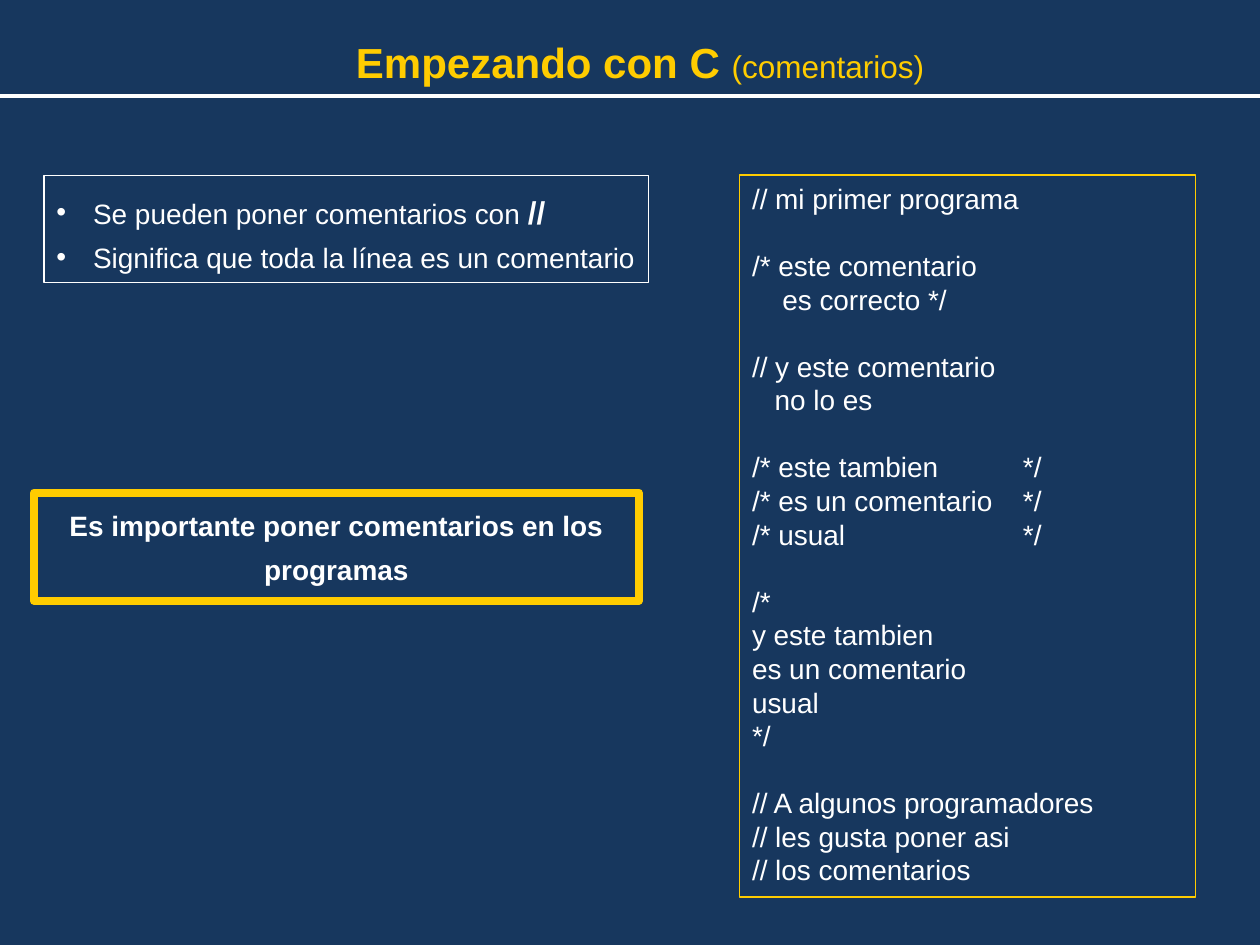
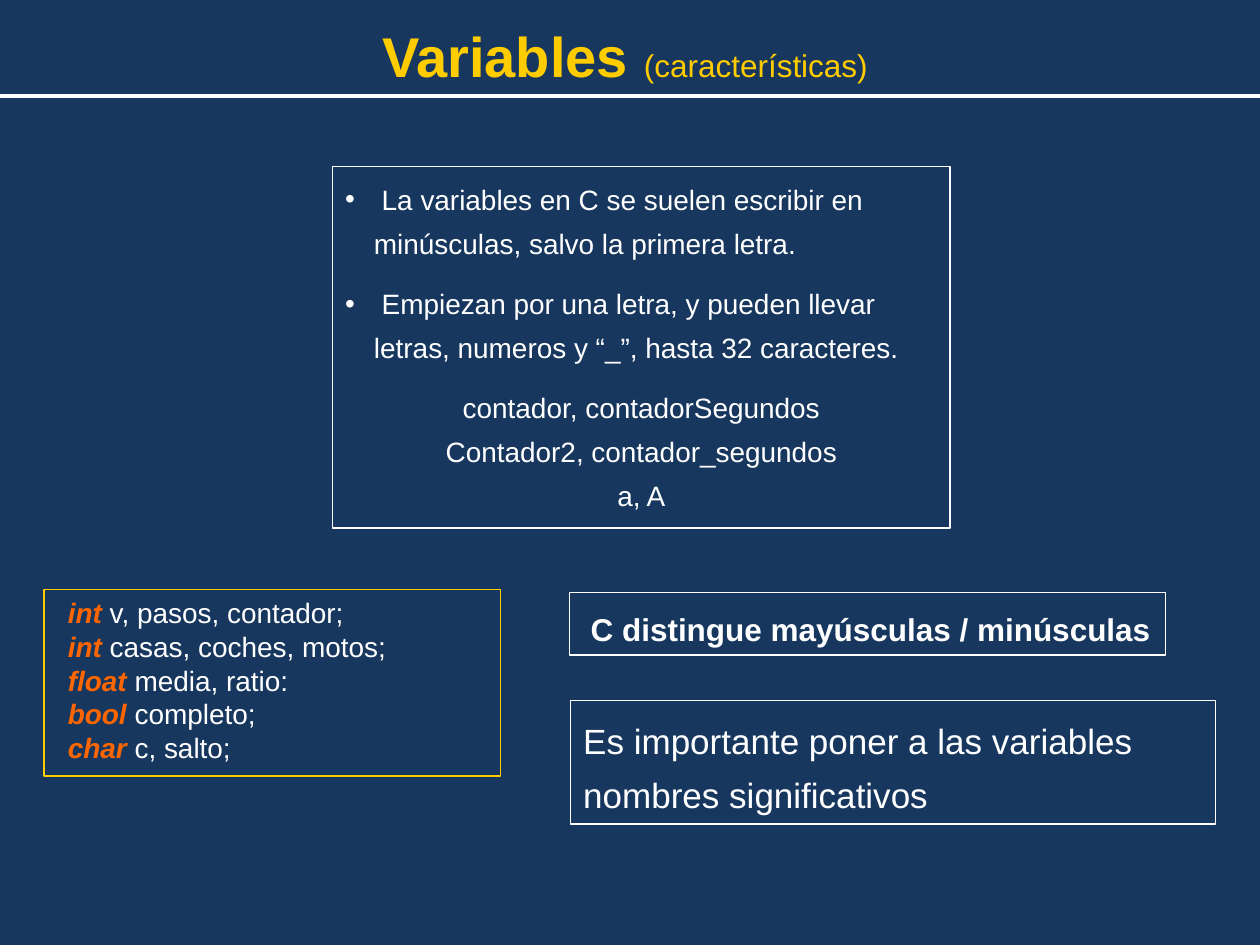
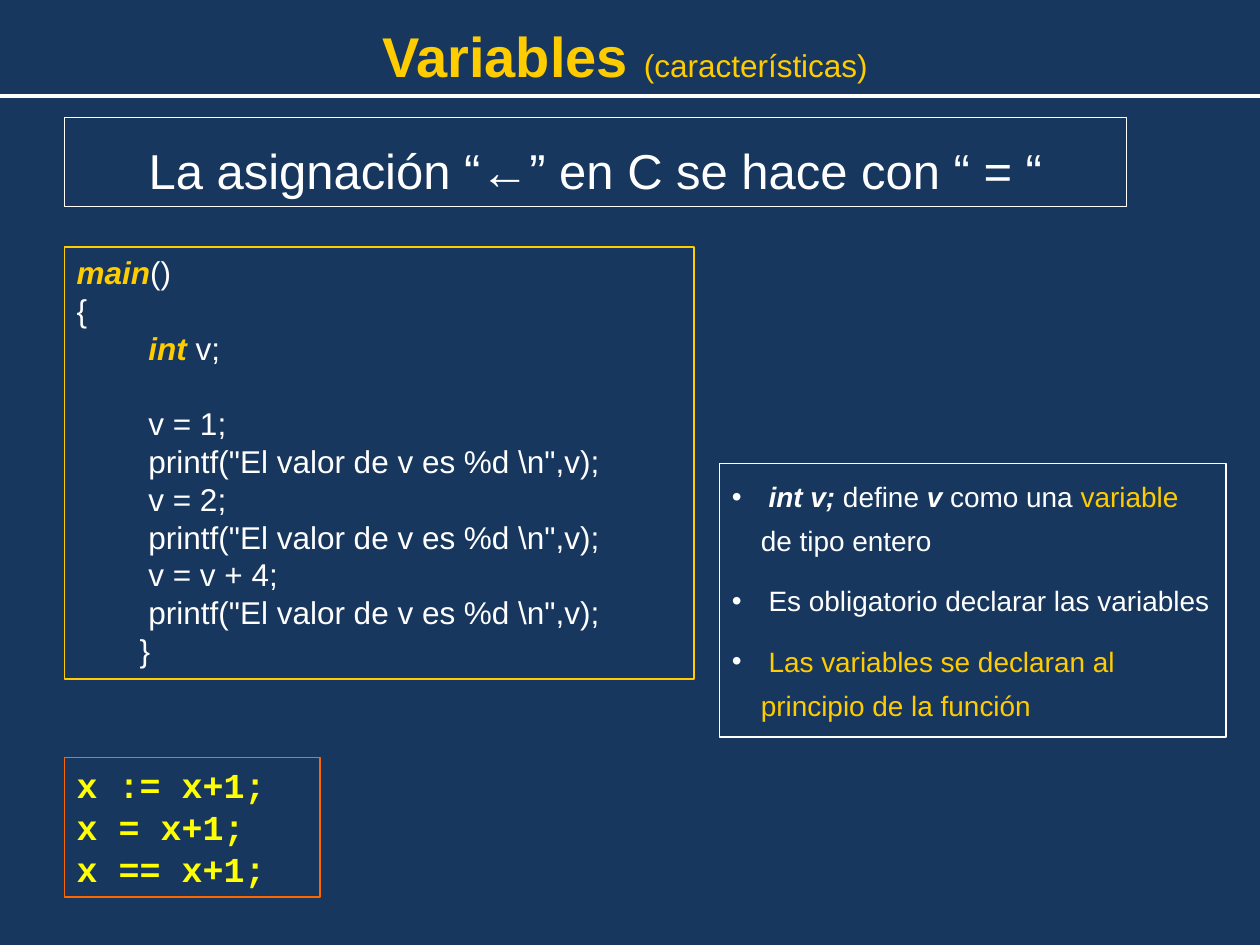
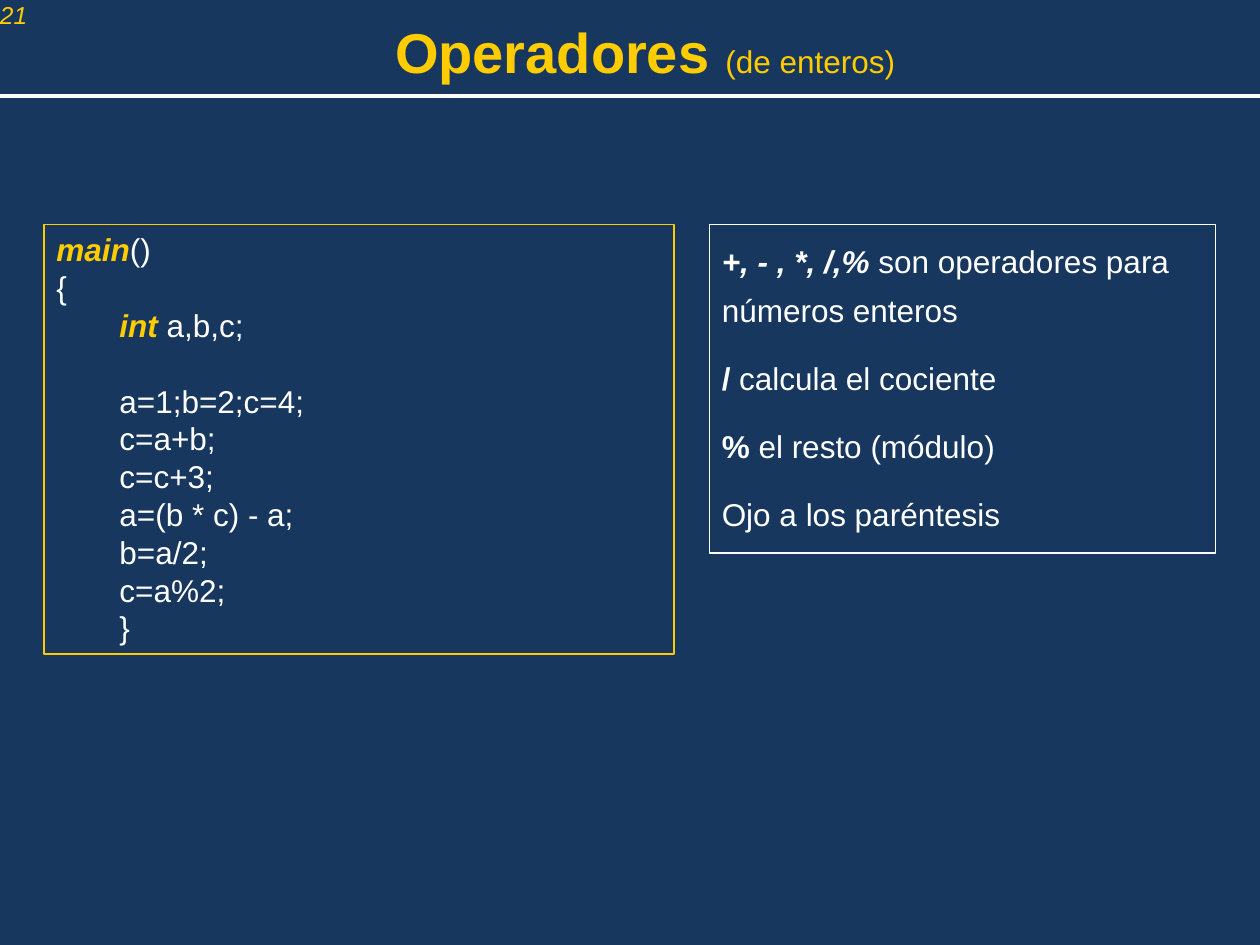
from lxml.etree import SubElement
from pptx import Presentation
from pptx.dml.color import RGBColor
from pptx.enum.shapes import MSO_CONNECTOR, MSO_SHAPE
from pptx.enum.text import MSO_ANCHOR, PP_ALIGN
from pptx.oxml.ns import qn
from pptx.util import Inches, Pt

COLORS = {
    "navy": "17375E",
    "white": "FFFFFF",
    "gold": "FFCC00",
    "orange": "FF6600",
    "yellow": "FFFF00",
}
STYLES = {
    "text": ("white", False, False, "Arial"),
    "bold": ("white", True, False, "Arial"),
    "term": ("white", True, True, "Arial"),
    "accent": ("gold", False, False, "Arial"),
    "title": ("gold", True, False, "Arial"),
    "keyword": ("gold", True, True, "Arial"),
    "type": ("orange", True, True, "Arial"),
    "number": ("gold", False, True, "Arial"),
    "mono": ("yellow", True, False, "Courier New"),
}
LINE_HEIGHT = 1.2
BULLET_INDENT = 0.23


def add_text(s, box, lines, size, style="text", line=None, width=0.75):
    at = [Inches(v) for v in box]
    if line:
        sp = s.shapes.add_shape(MSO_SHAPE.RECTANGLE, *at)
        sp.shadow.inherit = False
        sp.fill.background()
        sp.line.color.rgb = RGBColor.from_string(COLORS[line])
        sp.line.width = Pt(width)
    else:
        sp = s.shapes.add_textbox(*at)
    tf = sp.text_frame
    tf.word_wrap = True
    tf.vertical_anchor = MSO_ANCHOR.TOP
    for i, content in enumerate(lines):
        p = tf.paragraphs[0] if i == 0 else tf.add_paragraph()
        p.alignment = PP_ALIGN.LEFT
        runs = [(content, style)] if isinstance(content, str) else content
        for text, run_style, *run_size in runs:
            color, bold, italic, font = STYLES[run_style]
            r = p.add_run()
            r.text = text
            r.font.size = Pt(run_size[0] if run_size else size)
            r.font.name = font
            r.font.bold = bold
            r.font.italic = italic
            r.font.color.rgb = RGBColor.from_string(COLORS[color])
    return tf


def format_lines(paragraphs, spacing=None, after=None, indent=0, bullet=False, align=None):
    for p in paragraphs:
        if spacing:
            p.line_spacing = spacing
        if after:
            p.space_after = Pt(after)
        if align:
            p.alignment = align
        pPr = p._p.get_or_add_pPr()
        pPr.set("marL", str(Inches(BULLET_INDENT if bullet else indent)))
        if bullet:
            pPr.set("indent", str(-Inches(BULLET_INDENT)))
            SubElement(pPr, qn("a:buFont"), typeface="Arial")
            SubElement(pPr, qn("a:buChar"), char="•")


prs = Presentation()
prs.slide_width = Inches(10)
prs.slide_height = Inches(7.5)
fill = prs.slide_master.background.fill
fill.solid()
fill.fore_color.rgb = RGBColor.from_string(COLORS["navy"])

titles = [
    ("Empezando con C ", "(comentarios)", 24, (1.34, 0.24, 7.48, 0.5)),
    ("Variables ", "(características)", 32, (1.22, 0.12, 7.48, 0.63)),
    ("Variables ", "(características)", 32, (1.22, 0.12, 7.48, 0.63)),
    ("Operadores ", "(de enteros)", 32, (1.38, 0.09, 7.48, 0.63)),
]
for title, subtitle, size, box in titles:
    s = prs.slides.add_slide(prs.slide_layouts[6])
    tf = add_text(s, box, [[(title, "title"), (subtitle, "accent", 18)]], size)
    format_lines(tf.paragraphs, align=PP_ALIGN.CENTER)
    rule = s.shapes.add_connector(MSO_CONNECTOR.STRAIGHT, 0, Inches(0.76), Inches(10), Inches(0.76))
    rule.line.color.rgb = RGBColor.from_string(COLORS["white"])
    rule.line.width = Pt(2)
    SubElement(rule._element.spPr, qn("a:effectLst"))
comments, variables, assignment, operators = prs.slides

comment_groups = [
    ["// mi primer programa"],
    ["/* este comentario", "es correcto */"],
    ["// y este comentario", "no lo es"],
    ["/* este tambien\t*/", "/* es un comentario\t*/", "/* usual\t*/"],
    ["/*", "y este tambien", "es un comentario", "usual", "*/"],
    ["// A algunos programadores", "// les gusta poner asi", "// los comentarios"],
]
lines = [line for group in comment_groups for line in group]
tf = add_text(comments, (5.87, 1.39, 3.62, 5.73), lines, 16, line="gold")
first = 0
for group in comment_groups[:-1]:
    first += len(group)
    tf.paragraphs[first].space_before = Pt(16 * LINE_HEIGHT)
format_lines(tf.paragraphs[2:3], indent=0.24)
format_lines(tf.paragraphs[4:5], indent=0.18)
for p in tf.paragraphs[5:8]:
    tabs = SubElement(p._p.get_or_add_pPr(), qn("a:tabLst"))
    SubElement(tabs, qn("a:tab"), pos=str(Inches(2.15)), algn="l")

tf = add_text(comments, (0.35, 1.39, 4.8, 0.85), [
    [(" Se pueden poner comentarios con ", "text"), ("//", "bold", 18)],
    " Significa que toda la línea es un comentario",
], 16, line="white")
format_lines(tf.paragraphs, spacing=1.3, bullet=True)

tf = add_text(comments, (0.27, 3.91, 4.8, 0.86),
              ["Es importante poner comentarios en los programas"], 16, "bold", "gold", 4.5)
format_lines(tf.paragraphs, spacing=1.3, align=PP_ALIGN.CENTER)

tf = add_text(variables, (4.52, 4.7, 4.73, 0.5),
              [" C distingue mayúsculas / minúsculas"], 18, "bold", "white")
tf.word_wrap = False
format_lines(tf.paragraphs, spacing=1.3)

tf = add_text(variables, (2.64, 1.32, 4.9, 2.87), [
    " La variables en C se suelen escribir en minúsculas, salvo la primera letra.",
    " Empiezan por una letra, y pueden llevar letras, numeros y “_”, hasta 32 caracteres.",
    "contador, contadorSegundos",
    "Contador2, contador_segundos",
    "a, A",
], 16, line="white")
format_lines(tf.paragraphs[:2], spacing=1.3, after=9.6, bullet=True)
format_lines(tf.paragraphs[2:], spacing=1.3, align=PP_ALIGN.CENTER)

declarations = [
    ("int ", "v, pasos, contador;"),
    ("int ", "casas, coches, motos;"),
    ("float ", "media, ratio:"),
    ("bool ", "completo;"),
    ("char ", "c, salto;"),
]
tf = add_text(variables, (0.35, 4.68, 3.62, 1.48),
              [[(kind, "type"), (names, "text")] for kind, names in declarations], 16, line="gold")
format_lines(tf.paragraphs, indent=0.09)

tf = add_text(variables, (4.53, 5.56, 5.12, 0.98),
              ["Es importante poner a las variables nombres significativos"], 20, line="white")
format_lines(tf.paragraphs, spacing=1.3)

tf = add_text(assignment, (0.51, 0.93, 8.43, 0.71),
              ["La asignación “←” en C se hace con “ = “"], 28, line="white")
format_lines(tf.paragraphs, spacing=1.3, align=PP_ALIGN.CENTER)

add_text(assignment, (0.51, 6.01, 2.03, 1.11),
         ["x := x+1;", "x = x+1;", "x == x+1;"], 20, "mono", "orange")

show_value = 'printf("El valor de v es %d \\n",v);'
programs = [
    (assignment, (0.51, 1.96, 5, 3.43), 0.57, " v;",
     ["v = 1;", show_value, "v = 2;", show_value, "v = v + 4;", show_value]),
    (operators, (0.35, 1.78, 5, 3.41), 0.5, " a,b,c;",
     ["a=1;b=2;c=4;", "c=a+b;", "c=c+3;", "a=(b * c) - a;", "b=a/2;", "c=a%2;"]),
]
for s, box, indent, names, body in programs:
    tf = add_text(s, box, [
        [("main", "keyword"), ("()", "text")],
        "{",
        [("int", "keyword"), (names, "text")],
        *body,
        "}",
    ], 18, line="gold")
    format_lines(tf.paragraphs[2:-1], indent=indent)
    format_lines(tf.paragraphs[-1:], indent=0.5)
    tf.paragraphs[3].space_before = Pt(18 * LINE_HEIGHT)

tf = add_text(assignment, (5.71, 3.68, 4.02, 2.17), [
    [(" ", "text"), ("int v;", "term"), (" define ", "text"), ("v ", "term"),
     ("como una ", "text"), ("variable ", "accent"), ("de tipo entero", "text")],
    " Es obligatorio declarar las variables",
    [(" ", "text"), ("Las variables se declaran al principio de la función", "accent")],
], 16, line="white")
format_lines(tf.paragraphs, spacing=1.3, after=9.6, bullet=True)

tf = add_text(operators, (0, 0, 0.34, 0.23), ["21"], 14, "number")
tf.word_wrap = False
tf.margin_left = tf.margin_top = tf.margin_right = tf.margin_bottom = 0

tf = add_text(operators, (5.63, 1.78, 4.02, 2.61), [
    [("+, - , *, /,% ", "term"), ("son operadores para números enteros", "text")],
    [("/", "bold"), (" calcula el cociente", "text")],
    [("%", "bold"), (" el resto (módulo)", "text")],
    "Ojo a los paréntesis",
], 18, line="white")
format_lines(tf.paragraphs, spacing=1.3, after=10.8)

prs.save("out.pptx")
